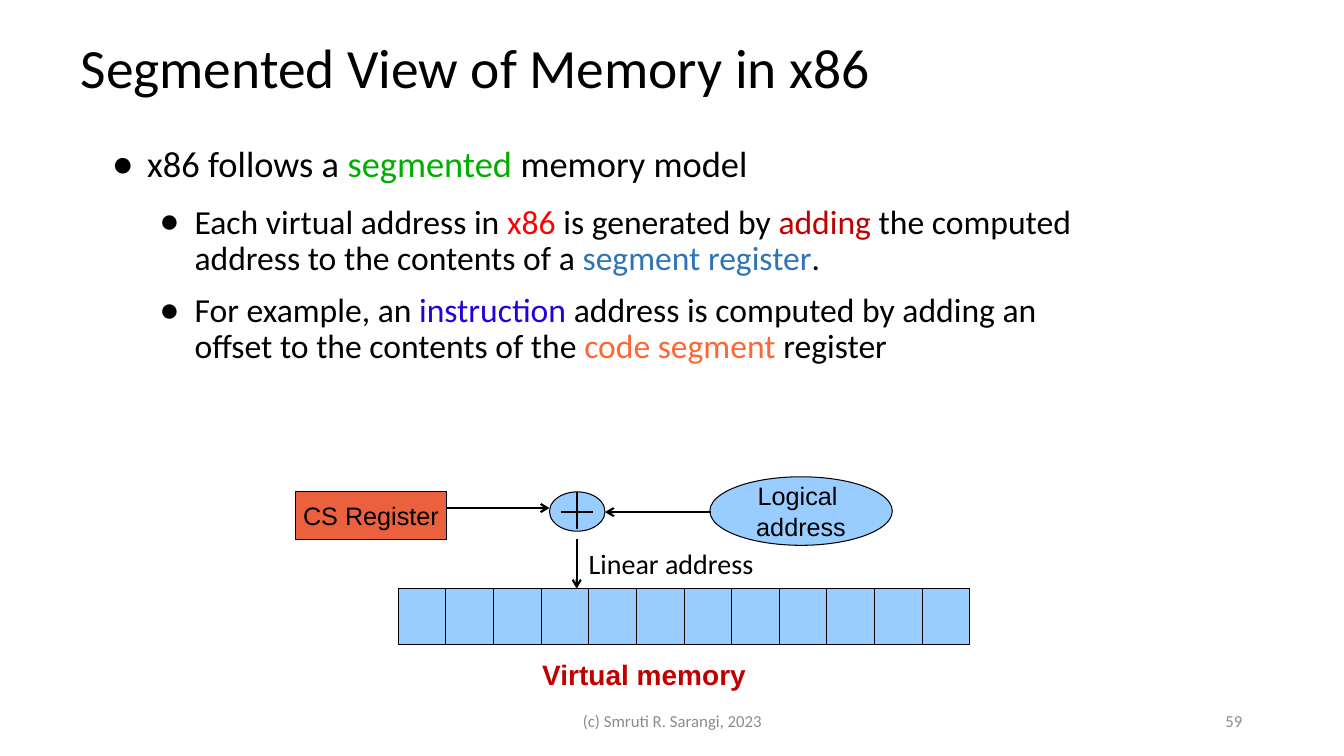
from lxml.etree import SubElement as Sub
from pptx import Presentation
from pptx.dml.color import RGBColor as RGB
from pptx.enum.shapes import MSO_CONNECTOR as Conn, MSO_SHAPE as Kind
from pptx.enum.text import MSO_ANCHOR as Anchor, PP_ALIGN as Align
from pptx.oxml.ns import qn
from pptx.util import Inches, Pt

BLACK = RGB(0x00, 0x00, 0x00)
GRAY = RGB(0x8C, 0x8C, 0x8C)
GREEN = RGB(0x00, 0xAE, 0x00)
RED = RGB(0xFF, 0x00, 0x00)
CRIMSON = RGB(0xC0, 0x00, 0x00)
BLUE = RGB(0x2E, 0x75, 0xB6)
INDIGO = RGB(0x23, 0x00, 0xDC)
ORANGE = RGB(0xFF, 0x66, 0x33)
SKY = RGB(0x99, 0xCC, 0xFF)
BRICK = RGB(0xEB, 0x61, 0x3D)

TITLE = "Segmented View of Memory in x86"
POINTS = [
    (0, [("x86 follows a ", BLACK), ("segmented", GREEN), (" memory model", BLACK)]),
    (1, [("Each virtual address in ", BLACK), ("x86", RED),
         (" is generated by ", BLACK), ("adding", CRIMSON),
         (" the computed\naddress to the contents of a ", BLACK),
         ("segment register", BLUE), (".", BLACK)]),
    (1, [("For example, an ", BLACK), ("instruction", INDIGO),
         (" address is computed by adding an\noffset to the contents of the ", BLACK),
         ("code segment ", ORANGE), ("register", BLACK)]),
]
LEVELS = [(26, 0.47, 14.1), (24, 0.94, 11.3)]
HANG = 0.35

CELLS, ROW_X, ROW_Y, CELL_H = 12, 3.95, 5.84, 0.55
CELL_W = 5.67 / CELLS
NODES = [
    (Kind.RECTANGLE, (2.93, 4.88, 1.5, 0.47), BRICK, "CS Register"),
    (Kind.OVAL, (7.04, 4.73, 1.81, 0.68), SKY, "Logical \naddress"),
    (Kind.OVAL, (5.45, 4.88, 0.55, 0.39), SKY, ""),
]
LINES = [
    ((5.56, 5.08, 5.88, 5.08), False),
    ((5.72, 4.88, 5.72, 5.25), False),
    ((4.43, 5.04, 5.45, 5.04), True),
    ((7.05, 5.08, 6, 5.08), True),
    ((5.72, 5.35, 5.72, ROW_Y), True),
]
LABELS = [
    ("Virtual memory", (5.28, 6.47, 2.24, 0.42), 20, "Arial", CRIMSON, True, Align.LEFT, Anchor.TOP),
    ("Linear address", (5.74, 5.37, 1.85, 0.44), 20, "Calibri", BLACK, False, Align.LEFT, Anchor.TOP),
    ("(c) Smruti R. Sarangi, 2023", (4.42, 6.95, 4.5, 0.4), 12, "Calibri", GRAY, False, Align.CENTER, Anchor.MIDDLE),
    ("59", (9.42, 6.95, 3, 0.4), 12, "Calibri", GRAY, False, Align.RIGHT, Anchor.MIDDLE),
]

deck = Presentation()
deck.slide_width, deck.slide_height = Inches(13.33), Inches(7.5)
slide = deck.slides.add_slide(deck.slide_layouts[6])
shapes = slide.shapes


def place(vals):
    return [Inches(v) for v in vals]


def write(para, text, size, face, color, bold=False):
    for i, part in enumerate(text.split("\n")):
        if i:
            para.add_line_break()
        run = para.add_run()
        run.text = part
        font = run.font
        font.size, font.name, font.bold = Pt(size), face, bold
        font.color.rgb = color


def add_box(at, inset=True, wrap=True):
    frame = shapes.add_textbox(*place(at)).text_frame
    frame.word_wrap = wrap
    if not inset:
        frame.margin_left = frame.margin_right = 0
        frame.margin_top = frame.margin_bottom = 0
    return frame


def add_node(kind, at, fill, text=""):
    node = shapes.add_shape(kind, *place(at))
    node.shadow.inherit = False
    node.fill.solid()
    node.fill.fore_color.rgb = fill
    node.line.color.rgb = BLACK
    node.line.width = Pt(0)
    if text:
        frame = node.text_frame
        frame.word_wrap = False
        frame.vertical_anchor = Anchor.MIDDLE
        para = frame.paragraphs[0]
        para.alignment = Align.CENTER
        write(para, text, 18, "Arial", BLACK)


def add_line(ends, arrow):
    line = shapes.add_connector(Conn.STRAIGHT, *place(ends))
    line.line.color.rgb = BLACK
    line.line.width = Pt(1.5)
    if arrow:
        Sub(line.line._get_or_add_ln(), qn("a:tailEnd"), type="arrow")
    Sub(line._element.spPr, qn("a:effectLst"))


def add_point(para, level, runs):
    size, left, after = LEVELS[level]
    props = para._p.get_or_add_pPr()
    props.set("marL", str(Inches(left)))
    props.set("indent", str(-Inches(HANG)))
    Sub(props, qn("a:buFont"), typeface="Arial")
    Sub(props, qn("a:buChar"), char="●")
    para.level = level
    para.line_spacing = 0.9
    para.space_after = Pt(after)
    for text, color in runs:
        write(para, text, size, "Calibri", color)


head = add_box((0.8, 0.19, 8.11, 1.02), inset=False)
head.vertical_anchor = Anchor.MIDDLE
head.paragraphs[0].line_spacing = 0.9
write(head.paragraphs[0], TITLE, 39.6, "Calibri", BLACK)

body = add_box((0.99, 1.45, 10.66, 2.53), inset=False)
for i, (level, runs) in enumerate(POINTS):
    add_point(body.add_paragraph() if i else body.paragraphs[0], level, runs)

for i in range(CELLS):
    add_node(Kind.RECTANGLE, (ROW_X + i * CELL_W, ROW_Y, CELL_W, CELL_H), SKY)
for node in NODES:
    add_node(*node)
for ends, arrow in LINES:
    add_line(ends, arrow)
for text, at, size, face, color, bold, align, anchor in LABELS:
    frame = add_box(at, wrap=align != Align.LEFT)
    frame.vertical_anchor = anchor
    frame.paragraphs[0].alignment = align
    write(frame.paragraphs[0], text, size, face, color, bold)

deck.save("out.pptx")
